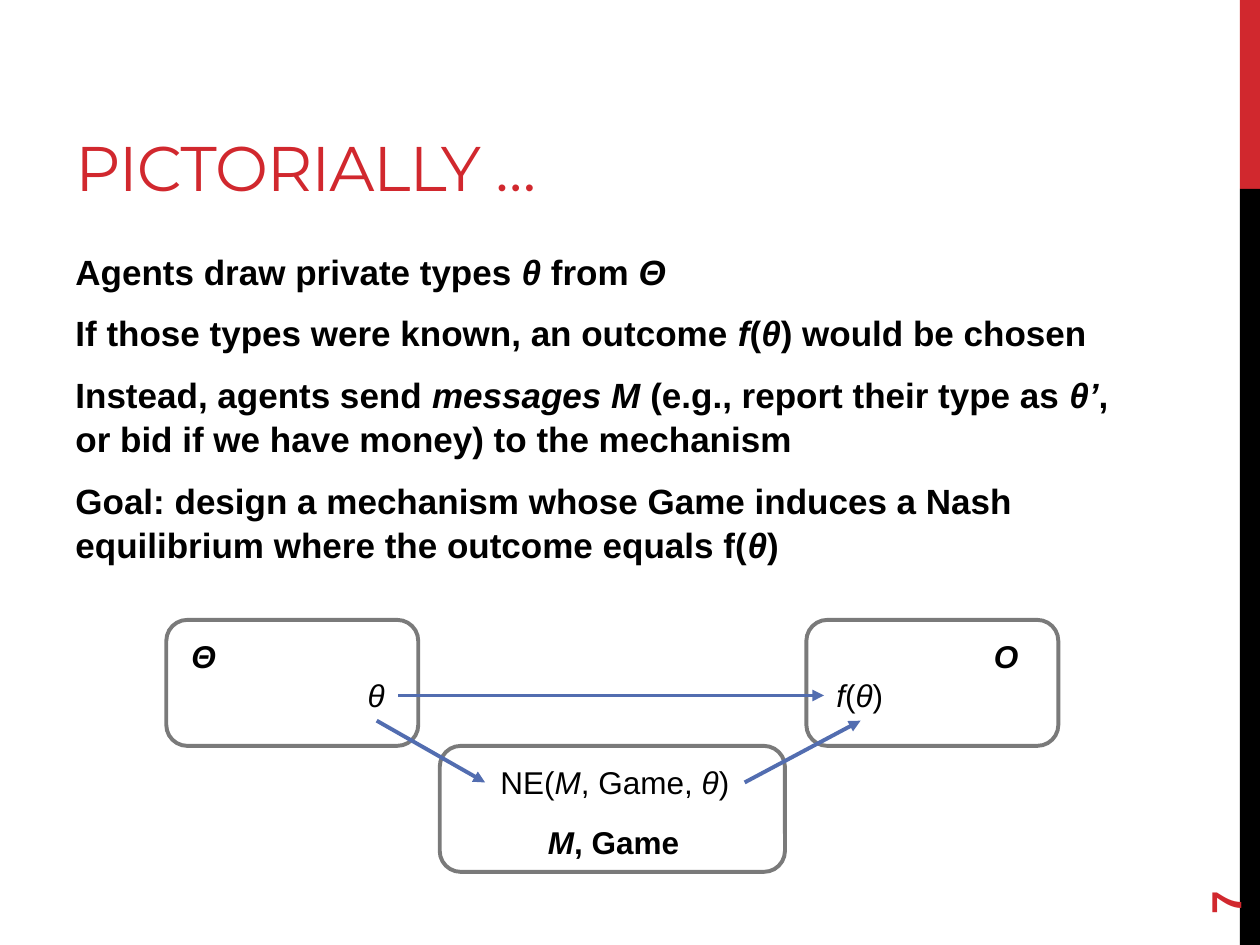
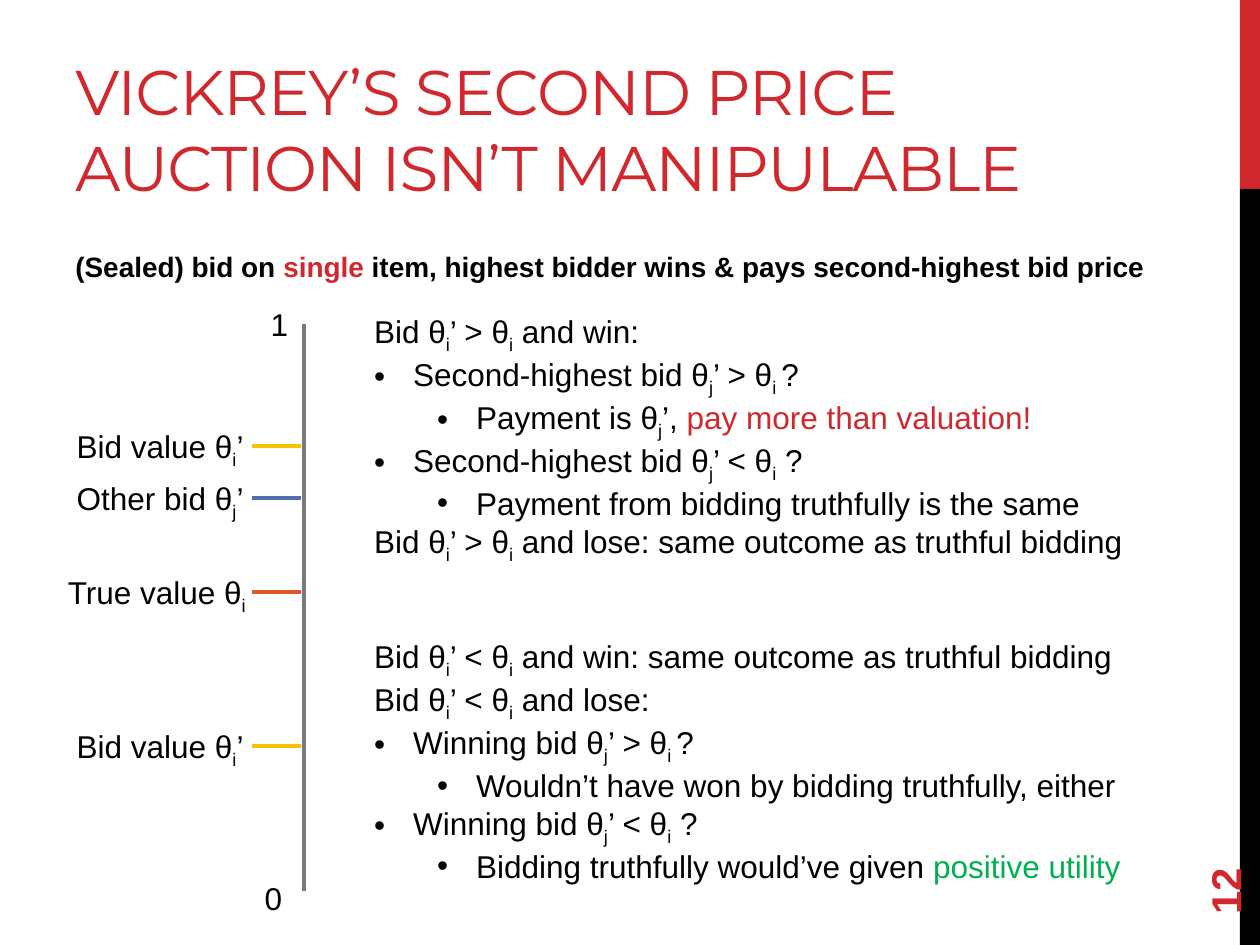
"""Build two mechanism design slides: the pictorial overview and the second price auction."""
from lxml.etree import SubElement
from pptx import Presentation
from pptx.dml.color import RGBColor
from pptx.enum.shapes import MSO_CONNECTOR, MSO_SHAPE
from pptx.enum.text import MSO_ANCHOR as Anchor, PP_ALIGN as Align
from pptx.oxml.ns import qn
from pptx.util import Inches, Pt

RED = RGBColor(0xD1, 0x28, 0x2E)
GREEN = RGBColor(0x00, 0xB0, 0x50)
BLUE = RGBColor(0x52, 0x6D, 0xB0)
GOLD = RGBColor(0xF5, 0xC2, 0x01)
ORANGE = RGBColor(0xDC, 0x59, 0x24)
GRAY = RGBColor(0x7A, 0x7A, 0x7A)
BLACK = RGBColor(0x00, 0x00, 0x00)
WHITE = RGBColor(0xFF, 0xFF, 0xFF)

# Text markers, each switching a style on and off: ~ italic, _ subscript, ^ red, | green.
MARKERS = "~_^|"
BANDS = [(0, 1.5, RED), (1.5, 6, BLACK)]

PICTORIAL = {
    "title": "PICTORIALLY …", "title_width": 6.33, "number": "7",
    "body": [
        "Agents draw private types ~θ~ from ~Θ~",
        "If those types were known, an outcome ~f~(~θ~) would be chosen",
        "Instead, agents send ~messages M~ (e.g., report their type as ~θ’~, "
        "or bid if we have money) to the mechanism",
        "Goal: design a mechanism whose Game induces a Nash equilibrium "
        "where the outcome equals f(~θ~)",
    ],
    "body_box": (0.5, 1.92, 8.59, 2.8), "body_size": 20,
}
SPACES = [(6.4, 4.92, 2), (1.32, 4.92, 2), (3.49, 5.92, 2.74)]
SPACE_LABELS = [
    ("~O~", 7.7, 5.01, 0.57, True, Align.CENTER),
    ("~f~(~θ~)", 6.54, 5.32, 0.7, False, Align.LEFT),
    ("~θ~", 2.82, 5.32, 0.4, False, Align.LEFT),
    ("~Θ~", 1.42, 5.01, 0.5, True, Align.LEFT),
    ("~M~, Game", 4.25, 6.48, 1.4, True, Align.LEFT),
    ("NE(~M~, Game, ~θ~)", 3.85, 6.01, 2.06, False, Align.CENTER),
]
ARROWS = [(3.16, 5.52, 6.54, 5.52), (2.99, 5.72, 3.85, 6.21), (5.91, 6.21, 6.83, 5.72)]

AUCTION = {
    "title": "VICKREY’S SECOND PRICE AUCTION ISN’T MANIPULABLE",
    "title_width": 9.02, "number": "12",
    "body": ["(Sealed) bid on ^single^ item, highest bidder wins & pays second-highest bid price"],
    "body_box": (0.5, 1.92, 8.8, 0.31), "body_size": 16,
}
AXIS_X, AXIS_TOP, AXIS_BOTTOM = 2.41, 2.57, 7.07
AXIS_ENDS = [("0", 1.93, 6.93, 0.48), ("1", 2.05, 2.37, 0.24)]
TICKS = [
    ("True value θ_i_", 0.44, 4.7, ORANGE),
    ("Bid value θ_i_’", 0.51, 3.54, GOLD),
    ("Bid value θ_i_’", 0.51, 5.92, GOLD),
    ("Other bid θ_j_’", 0.51, 3.95, BLUE),
]
CASES_BOX = (2.87, 2.43, 6.65, 4.64)
CASES_GAP = 41.4
CASES = [
    [
        (0, "Bid θ_i_’ > θ_i_ and win:"),
        (1, "Second-highest bid θ_j_’ > θ_i _?"),
        (2, "Payment is θ_j_’, ^pay more than valuation!^"),
        (1, "Second-highest bid θ_j_’ < θ_i_ ?"),
        (2, "Payment from bidding truthfully is the same"),
        (0, "Bid θ_i_’ > θ_i_ and lose: same outcome as truthful bidding"),
    ],
    [
        (0, "Bid θ_i_’ < θ_i_ and win: same outcome as truthful bidding"),
        (0, "Bid θ_i_’ < θ_i_ and lose:"),
        (1, "Winning bid θ_j_’ > θ_i _?"),
        (2, "Wouldn’t have won by bidding truthfully, either"),
        (1, "Winning bid θ_j_’ < θ_i_ ?"),
        (2, "Bidding truthfully would’ve given ^|positive utility|^".replace("^", "")),
    ],
]


def split_styles(text):
    """Yield each stretch of text with the set of markers in force."""
    active, part = set(), ""
    for char in text:
        if char in MARKERS:
            if part:
                yield part, set(active)
            active ^= {char}
            part = ""
        else:
            part += char
    if part:
        yield part, active


def write(p, text, size, bold=False, color=BLACK, name="Arial"):
    """Fill a paragraph with styled runs."""
    for part, styles in split_styles(text):
        r = p.add_run()
        r.text = part
        f = r.font
        f.name, f.size, f.bold, f.italic = name, Pt(size), bold, "~" in styles
        f.color.rgb = RED if "^" in styles else GREEN if "|" in styles else color
        if "_" in styles:
            r._r.get_or_add_rPr().set("baseline", "-25000")


def add_frame(s, box, anchor=Anchor.TOP):
    """Add a wrapping text box."""
    sp = s.shapes.add_textbox(*map(Inches, box))
    tf = sp.text_frame
    tf.word_wrap, tf.vertical_anchor = True, anchor
    return sp


def add_label(s, text, x, y, w, bold=False, align=Align.LEFT):
    """Add a one-line label."""
    p = add_frame(s, (x, y, w, 0.4)).text_frame.paragraphs[0]
    p.alignment = align
    write(p, text, 18, bold)


def add_block(s, kind, box, fill, line=None):
    """Add a filled preset shape, outlined if a line colour is given."""
    sp = s.shapes.add_shape(kind, *map(Inches, box))
    sp.shadow.inherit = False
    sp.fill.solid()
    sp.fill.fore_color.rgb = fill
    if line is None:
        sp.line.fill.background()
    else:
        sp.line.color.rgb, sp.line.width = line, Pt(2.25)


def add_line(s, ends, color, arrow=False):
    """Add a straight line, with an arrowhead at its end if asked."""
    c = s.shapes.add_connector(MSO_CONNECTOR.STRAIGHT, *map(Inches, ends))
    c.line.color.rgb, c.line.width = color, Pt(2.25)
    if arrow:
        SubElement(c.line._get_or_add_ln(), qn("a:tailEnd"), type="triangle")
    SubElement(c._element.spPr, qn("a:effectLst"))


def add_bullet(p, depth):
    """Indent a paragraph and give it a round bullet."""
    p.level = depth - 1
    pPr = p._p.get_or_add_pPr()
    pPr.set("marL", str(Inches(0.5 * depth - 0.19)))
    pPr.set("indent", str(Inches(-0.31)))
    SubElement(pPr, qn("a:buFont"), typeface="Arial")
    SubElement(pPr, qn("a:buChar"), char="•")


def add_base(prs, content):
    """Add a slide with its bands, title, body text and number."""
    s = prs.slides.add_slide(prs.slide_layouts[6])
    for top, height, color in BANDS:
        add_block(s, MSO_SHAPE.RECTANGLE, (9.84, top, 0.16, height), color)

    title = add_frame(s, (0.5, 0.17, content["title_width"], 1.5), Anchor.BOTTOM)
    p = title.text_frame.paragraphs[0]
    write(p, content["title"], 36, color=RED, name="Montserrat")
    p.runs[0]._r.get_or_add_rPr().set("spc", "-60")

    tf = add_frame(s, content["body_box"]).text_frame
    size = content["body_size"]
    for i, text in enumerate(content["body"]):
        p = tf.add_paragraph() if i else tf.paragraphs[0]
        p.space_before, p.space_after = Pt(0.2 * size if i else 0), Pt(6)
        p.line_spacing = 1.05
        write(p, text, size, True)

    number = add_frame(s, (9, 6.44, 1.44, 0.4), Anchor.MIDDLE)
    number.rotation = 270
    write(number.text_frame.paragraphs[0], content["number"], 24, True, RED)
    return s


def build_pictorial(prs):
    """Draw the type, outcome and message spaces with their mappings."""
    s = add_base(prs, PICTORIAL)
    for x, y, w in SPACES:
        add_block(s, MSO_SHAPE.ROUNDED_RECTANGLE, (x, y, w, 1), WHITE, GRAY)
    for label in SPACE_LABELS:
        add_label(s, *label)
    for ends in ARROWS:
        add_line(s, ends, BLUE, True)


def build_auction(prs):
    """Draw the bid axis beside the list of cases."""
    s = add_base(prs, AUCTION)
    add_line(s, (AXIS_X, AXIS_TOP, AXIS_X, AXIS_BOTTOM), GRAY)
    for text, x, y, w in AXIS_ENDS:
        add_label(s, text, x, y, w, align=Align.CENTER)
    for text, x, y, color in TICKS:
        add_label(s, text, x, y - 0.2, 2.06)
        add_line(s, (2, y, AXIS_X - 0.02, y), color)

    tf = add_frame(s, CASES_BOX).text_frame
    for g, group in enumerate(CASES):
        for i, (depth, text) in enumerate(group):
            p = tf.add_paragraph() if g or i else tf.paragraphs[0]
            if g and not i:
                p.space_before = Pt(CASES_GAP)
            if depth:
                add_bullet(p, depth)
            write(p, text, 18)


def main():
    """Build and save the presentation."""
    prs = Presentation()
    prs.slide_width, prs.slide_height = Inches(10), Inches(7.5)
    build_pictorial(prs)
    build_auction(prs)
    prs.save("out.pptx")


if __name__ == "__main__":
    main()
